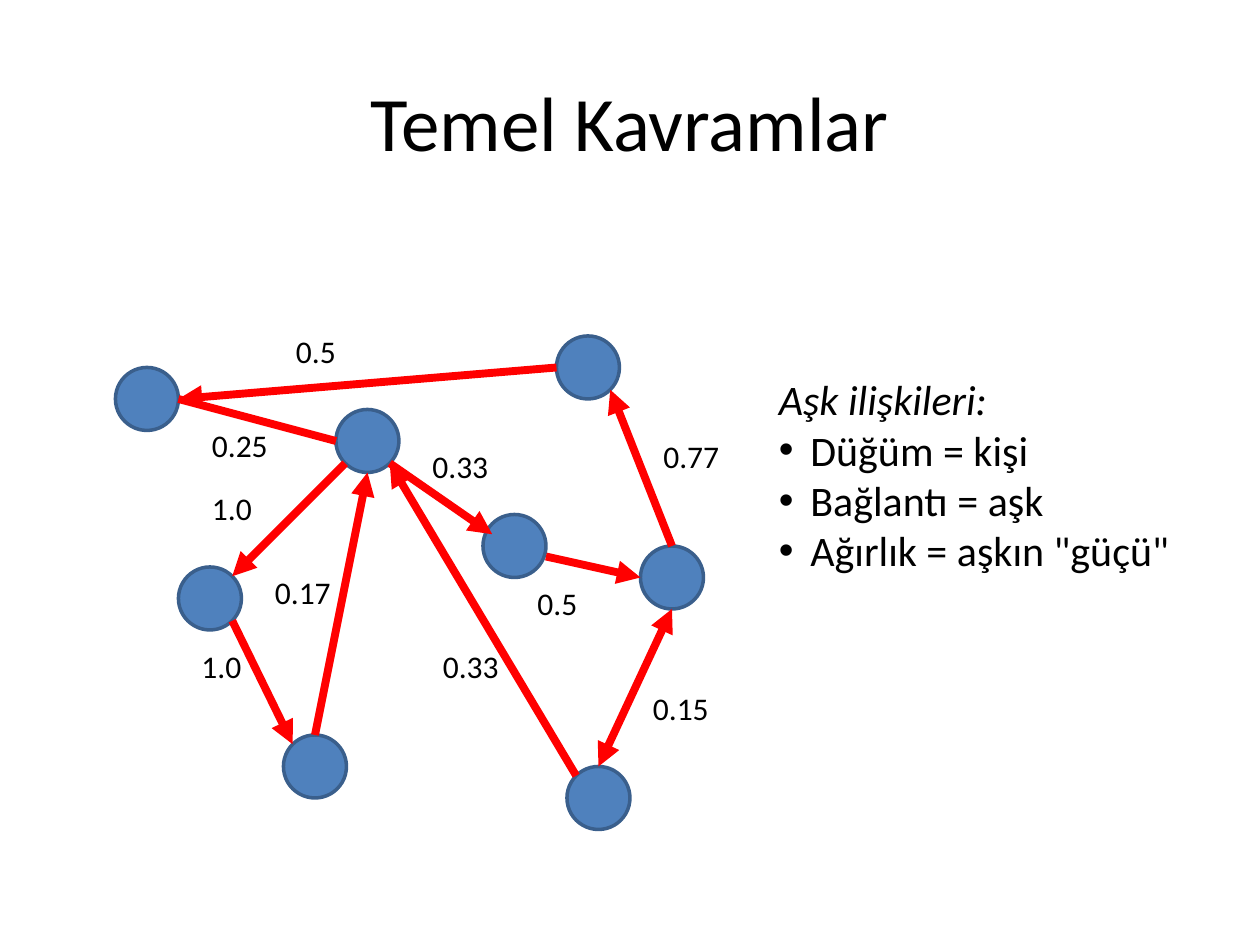
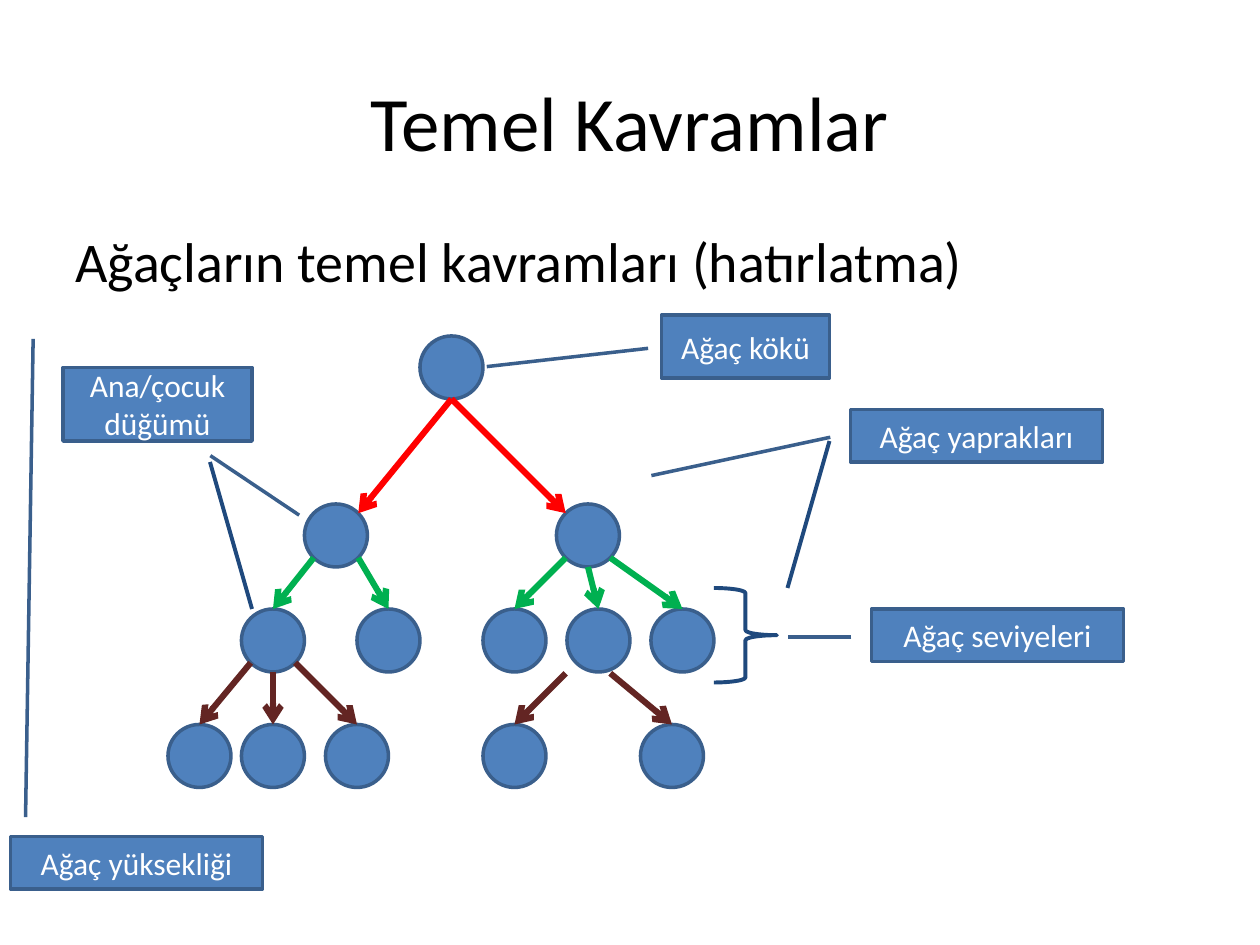
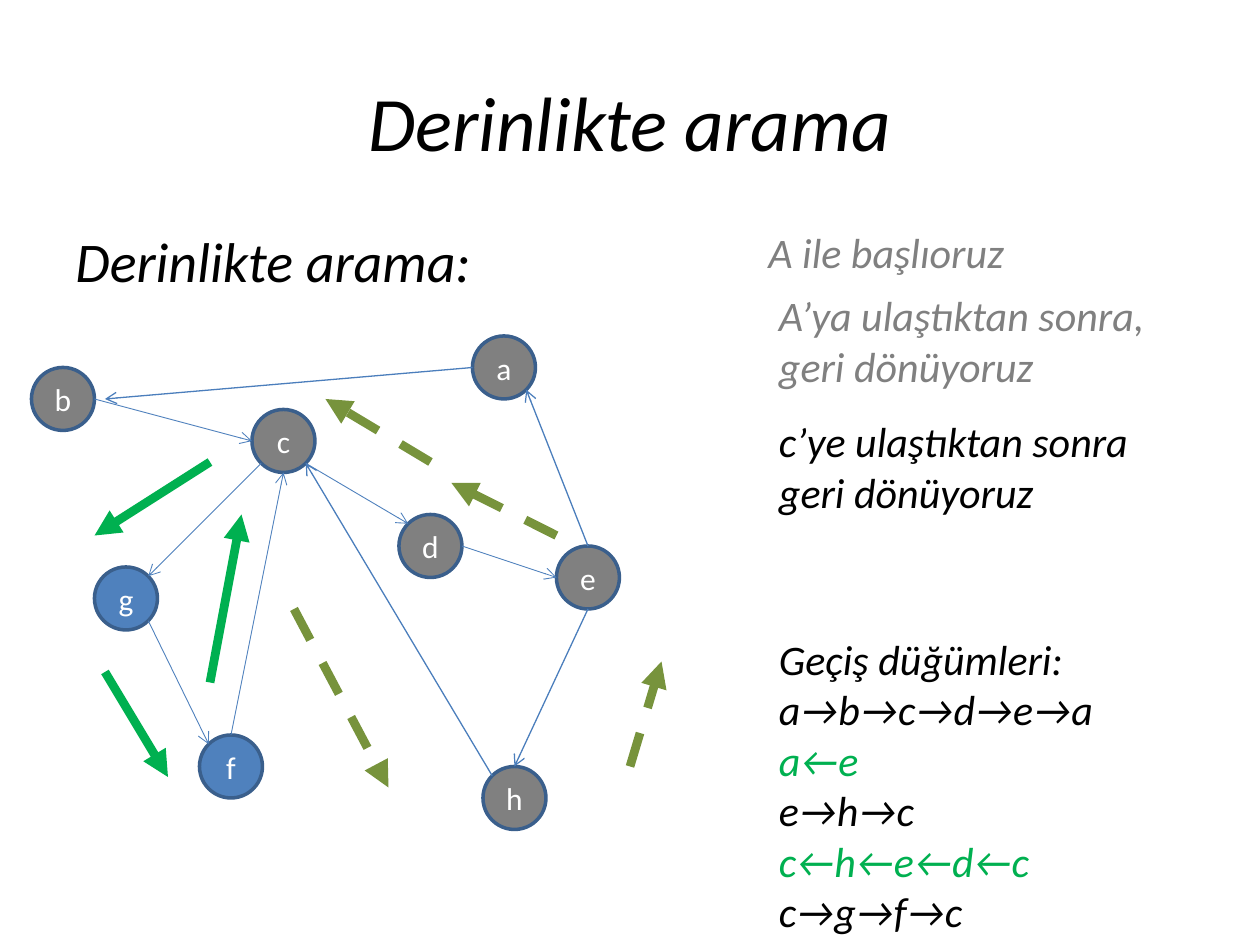
from math import sqrt

from pptx import Presentation
from pptx.dml.color import RGBColor
from pptx.enum.dml import MSO_LINE
from pptx.enum.shapes import MSO_CONNECTOR, MSO_SHAPE
from pptx.enum.text import MSO_ANCHOR, PP_ALIGN
from pptx.oxml.ns import qn
from pptx.oxml.xmlchemy import OxmlElement
from pptx.util import Pt

NODE_SHAPE = MSO_SHAPE.FLOWCHART_CONNECTOR
CALLOUT_SHAPE = MSO_SHAPE.LINE_CALLOUT_1
BRACE_SHAPE = MSO_SHAPE.RIGHT_BRACE
STRAIGHT = MSO_CONNECTOR.STRAIGHT
DASH = MSO_LINE.DASH
MIDDLE = MSO_ANCHOR.MIDDLE
TOP = MSO_ANCHOR.TOP
LEFT = PP_ALIGN.LEFT
CENTER = PP_ALIGN.CENTER

FONT = "Calibri"
COLORS = {
    "black": "000000",
    "white": "FFFFFF",
    "blue": "4F81BD",
    "outline": "3A5F8C",
    "edge": "4B7EBC",
    "navy": "1F497D",
    "red": "FF0000",
    "green": "00B050",
    "maroon": "632523",
    "olive": "77933C",
    "gray": "808080",
}

NODE_SIZE = 36
RADIUS = NODE_SIZE / 2
DIAGONAL = RADIUS / sqrt(2)
SITES = {
    "T": (0, -RADIUS), "B": (0, RADIUS), "L": (-RADIUS, 0), "R": (RADIUS, 0),
    "TL": (-DIAGONAL, -DIAGONAL), "TR": (DIAGONAL, -DIAGONAL),
    "BL": (-DIAGONAL, DIAGONAL), "BR": (DIAGONAL, DIAGONAL),
}

GRAPH_NODES = {
    "b": (66, 210), "c": (192, 234), "g": (102, 324), "d": (276, 294),
    "a": (318, 192), "e": (366, 312), "f": (162, 420), "h": (324, 438),
}
GRAPH_EDGES = [
    ("b", "R", "c", "L"), ("c", "BR", "d", "TL"), ("c", "BL", "g", "TR"),
    ("f", "T", "c", "B"), ("g", "BR", "f", "TL"), ("d", "R", "e", "L"),
    ("e", "T", "a", "BR"), ("e", "B", "h", "T"), ("a", "L", "b", "R"),
    ("h", "TL", "c", "BR"),
]
SEARCH_SHIFT = 48

WEIGHTS = [
    ("0.5", 162, 186), ("0.25", 114, 240), ("0.33", 240, 252),
    ("0.77", 372, 246), ("0.5", 300, 330), ("0.15", 366, 390),
    ("0.33", 246, 366), ("0.17", 150, 324), ("1.0", 114, 276),
    ("1.0", 108, 366),
]

TREE_LEVELS = [
    (192, {"root": 240}),
    (288, {"left": 174, "right": 318}),
    (348, {"l1": 138, "l2": 204, "r1": 276, "r2": 324, "r3": 372}),
    (414, {"l11": 96, "l12": 138, "l13": 186, "r21": 276, "r22": 366}),
]
TREE_EDGES = {
    "red": [("root", "B", "left", "TR"), ("root", "B", "right", "TL")],
    "green": [
        ("left", "BL", "l1", "T"), ("left", "BR", "l2", "T"),
        ("right", "BL", "r1", "T"), ("right", "B", "r2", "T"),
        ("right", "BR", "r3", "T"),
    ],
    "maroon": [
        ("l1", "BL", "l11", "T"), ("l1", "B", "l12", "T"),
        ("l1", "BR", "l13", "T"), ("r2", "BL", "r21", "T"),
        ("r2", "BR", "r22", "T"),
    ],
}
CALLOUTS = [
    ("Ağaç kökü", (378, 180, 96, 36), (0.53, -0.08, 0.82, -1.04)),
    ("Ağaç yaprakları", (486, 234, 144, 30), (0.53, -0.08, 1.26, -0.79)),
    ("Ana/çocuk düğümü", (36, 210, 108, 42), (1.2, 0.78, 2.01, 1.25)),
    ("Ağaç seviyeleri", (498, 348, 144, 30), (0.53, -0.08, 0.53, -0.33)),
    ("Ağaç yüksekliği", (6, 478, 144, 30), (-0.37, 0.06, -9.48, 0.09)),
]
POINTER_LINES = [((120, 264), (144, 348)), ((474, 252), (450, 336))]

RETURN_MOVES = [
    ((168, 348), (222, 450)), ((360, 438), (378, 378)),
    ((318, 306), (258, 276)), ((246, 264), (186, 228)),
]
FORWARD_MOVES = [
    ((120, 264), (54, 306)), ((60, 384), (96, 444)), ((120, 390), (138, 294)),
]


def rgb(name):
    return RGBColor.from_string(COLORS[name])


def add_bullet(paragraph):
    properties = paragraph._p.get_or_add_pPr()
    properties.set("marL", str(Pt(18)))
    properties.set("indent", str(-Pt(18)))
    bullet_font = OxmlElement("a:buFont")
    bullet_font.set("typeface", "Arial")
    bullet = OxmlElement("a:buChar")
    bullet.set("char", "•")
    properties.extend([bullet_font, bullet])


def write(frame, *lines, size=18, color="black", italic=False, align=LEFT,
          anchor=TOP, wrap=True):
    frame.word_wrap = wrap
    frame.vertical_anchor = anchor
    for index, line in enumerate(lines):
        text, changes = (line, {}) if isinstance(line, str) else line
        paragraph = frame.add_paragraph() if index else frame.paragraphs[0]
        paragraph.text = text
        paragraph.alignment = align
        if changes.get("bullet"):
            add_bullet(paragraph)
        for run in paragraph.runs:
            run.font.name = FONT
            run.font.size = Pt(size)
            run.font.italic = changes.get("italic", italic)
            run.font.color.rgb = rgb(changes.get("color", color))


def add_text(slide, box, *lines, **style):
    write(slide.shapes.add_textbox(*map(Pt, box)).text_frame, *lines, **style)


def add_titled_slide(deck, title, italic=False):
    slide = deck.slides.add_slide(deck.slide_layouts[5])
    heading = slide.shapes.title
    heading.left, heading.top, heading.width, heading.height = map(
        Pt, (36, 24, 648, 90))
    write(heading.text_frame, title, size=44, italic=italic, align=CENTER,
          anchor=MIDDLE)
    return slide


def add_subtitle(slide, text, italic=False):
    add_text(slide, (36, 126, 648, 356), text, size=32, italic=italic)


def add_figure(slide, kind, box, fill="blue", outline="outline", width=2,
               text="", adjustments=()):
    figure = slide.shapes.add_shape(kind, *map(Pt, box))
    figure.shadow.inherit = False
    if fill:
        figure.fill.solid()
        figure.fill.fore_color.rgb = rgb(fill)
    else:
        figure.fill.background()
    figure.line.color.rgb = rgb(outline)
    figure.line.width = Pt(width)
    for index, value in enumerate(adjustments):
        figure.adjustments[index] = value
    if text:
        write(figure.text_frame, text, color="white", align=CENTER,
              anchor=MIDDLE)


def add_node(slide, position, **style):
    add_figure(slide, NODE_SHAPE, (*position, NODE_SIZE, NODE_SIZE), **style)


def add_line(slide, start, end, color, width, head=None, tail=None, dash=None):
    line = slide.shapes.add_connector(STRAIGHT, *map(Pt, (*start, *end)))
    line.line.color.rgb = rgb(color)
    line.line.width = Pt(width)
    if dash:
        line.line.dash_style = dash
    properties = line.element.spPr
    outline = properties.find(qn("a:ln"))
    for tag, arrow in (("a:headEnd", head), ("a:tailEnd", tail)):
        if arrow:
            end_mark = OxmlElement(tag)
            end_mark.set("type", arrow)
            outline.append(end_mark)
    properties.append(OxmlElement("a:effectLst"))


def site(position, side, nudge=(0, 0)):
    return tuple(corner + RADIUS + offset + extra for corner, offset, extra
                 in zip(position, SITES[side], nudge))


def add_edge(slide, nodes, edge, color, width, start_nudge=(0, 0),
             end_nudge=(0, 0), **ends):
    source, source_side, target, target_side = edge
    add_line(slide, site(nodes[source], source_side, start_nudge),
             site(nodes[target], target_side, end_nudge), color, width, **ends)


def build_weighted_graph(deck):
    slide = add_titled_slide(deck, "Temel Kavramlar")
    for position in GRAPH_NODES.values():
        add_node(slide, position)
    special = {
        "bc": {"tail": None},
        "cd": {"end_nudge": (0, 6)},
        "de": {"start_nudge": (0, 6)},
        "eh": {"head": "triangle"},
    }
    for edge in GRAPH_EDGES:
        style = {"tail": "triangle", **special.get(edge[0] + edge[2], {})}
        add_edge(slide, GRAPH_NODES, edge, "red", 4.5, **style)
    for weight, left, top in WEIGHTS:
        width = 47 if len(weight) == 4 else 37.5
        add_text(slide, (left, top, width, 29), weight, wrap=False)
    add_text(
        slide, (438, 210, 258, 124),
        ("Aşk ilişkileri:", {"italic": True}),
        ("Düğüm = kişi", {"bullet": True}),
        ("Bağlantı = aşk", {"bullet": True}),
        ("Ağırlık = aşkın \"güçü\"", {"bullet": True}),
        size=24)


def build_tree(deck):
    slide = add_titled_slide(deck, "Temel Kavramlar")
    add_subtitle(slide, "Ağaçların temel kavramları (hatırlatma)")
    nodes = {name: (left, top) for top, level in TREE_LEVELS
             for name, left in level.items()}
    for position in nodes.values():
        add_node(slide, position)
    for color, edges in TREE_EDGES.items():
        for edge in edges:
            nudge = (-6, 6) if edge[0] == "r2" else (0, 0)
            add_edge(slide, nodes, edge, color, 3.5, start_nudge=nudge,
                     tail="arrow")
    for text, box, pointer in CALLOUTS:
        add_figure(slide, CALLOUT_SHAPE, box, text=text, adjustments=pointer)
    for start, end in POINTER_LINES:
        add_line(slide, start, end, "navy", 2.25)
    add_figure(slide, BRACE_SHAPE, (408, 336, 36, 54), fill=None,
               outline="navy", width=2.25, adjustments=(0.08, 0.5))


def build_depth_search(deck):
    slide = add_titled_slide(deck, "Derinlikte arama", italic=True)
    add_subtitle(slide, "Derinlikte arama:", italic=True)
    nodes = {name: (left - SEARCH_SHIFT, top)
             for name, (left, top) in GRAPH_NODES.items()}
    for name, position in nodes.items():
        add_node(slide, position, text=name,
                 fill="blue" if name in "gf" else "gray")
    for index, edge in enumerate(GRAPH_EDGES):
        color, width = ("blue", 0.5) if index < 6 else ("edge", 0.75)
        nudge = (6, 0) if edge[2] == "b" else (0, 0)
        add_edge(slide, nodes, edge, color, width, end_nudge=nudge,
                 tail="arrow")
    note = {"size": 24, "italic": True}
    add_text(slide, (432, 126, 150, 36), "A ile başlıoruz", color="gray",
             wrap=False, **note)
    add_text(slide, (438, 162, 250, 65.5),
             "A’ya ulaştıktan sonra, geri dönüyoruz", color="gray", **note)
    add_text(
        slide, (438, 358.5, 196, 181.5),
        "Geçiş düğümleri:\na→b→c→d→e→a",
        ("a←e", {"color": "green"}),
        "e→h→c",
        ("c←h←e←d←c", {"color": "green"}),
        "c→g→f→c",
        **note)
    add_text(slide, (438, 234, 250, 94.5),
             "c’ye ulaştıktan sonra geri dönüyoruz", **note)
    for start, end in RETURN_MOVES:
        add_line(slide, start, end, "olive", 5, tail="triangle", dash=DASH)
    for start, end in FORWARD_MOVES:
        add_line(slide, start, end, "green", 5, tail="triangle")


def main():
    deck = Presentation()
    deck.slide_width, deck.slide_height = Pt(720), Pt(540)
    build_weighted_graph(deck)
    build_tree(deck)
    build_depth_search(deck)
    deck.save("out.pptx")


if __name__ == "__main__":
    main()
